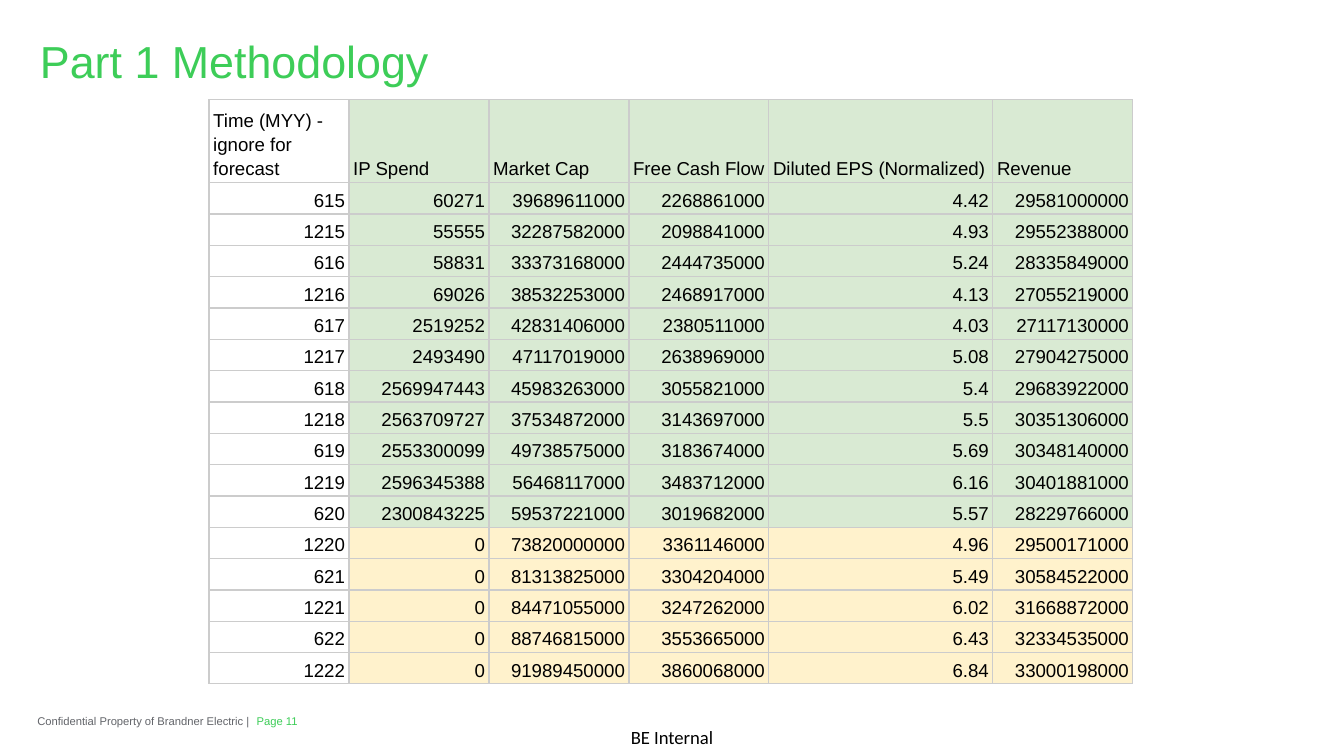
from lxml.etree import SubElement
from pptx import Presentation
from pptx.dml.color import RGBColor
from pptx.enum.text import MSO_ANCHOR, PP_ALIGN
from pptx.oxml.ns import qn
from pptx.util import Pt

GREEN = "3DCD58"
BLACK = "000000"
HISTORY_FILL = "D9EAD3"
FORECAST_FILL = "FFF2CC"
BORDER = "CCCCCC"

HEADERS = ["Time (MYY) - ignore for forecast", "IP Spend", "Market Cap",
           "Free Cash Flow", "Diluted EPS (Normalized)", "Revenue"]
HISTORY = [
    ("615", "60271", "39689611000", "2268861000", "4.42", "29581000000"),
    ("1215", "55555", "32287582000", "2098841000", "4.93", "29552388000"),
    ("616", "58831", "33373168000", "2444735000", "5.24", "28335849000"),
    ("1216", "69026", "38532253000", "2468917000", "4.13", "27055219000"),
    ("617", "2519252", "42831406000", "2380511000", "4.03", "27117130000"),
    ("1217", "2493490", "47117019000", "2638969000", "5.08", "27904275000"),
    ("618", "2569947443", "45983263000", "3055821000", "5.4", "29683922000"),
    ("1218", "2563709727", "37534872000", "3143697000", "5.5", "30351306000"),
    ("619", "2553300099", "49738575000", "3183674000", "5.69", "30348140000"),
    ("1219", "2596345388", "56468117000", "3483712000", "6.16", "30401881000"),
    ("620", "2300843225", "59537221000", "3019682000", "5.57", "28229766000"),
]
FORECAST = [
    ("1220", "0", "73820000000", "3361146000", "4.96", "29500171000"),
    ("621", "0", "81313825000", "3304204000", "5.49", "30584522000"),
    ("1221", "0", "84471055000", "3247262000", "6.02", "31668872000"),
    ("622", "0", "88746815000", "3553665000", "6.43", "32334535000"),
    ("1222", "0", "91989450000", "3860068000", "6.84", "33000198000"),
]
COLUMN_WIDTHS = [75, 75, 75, 75, 120, 75]
HEADER_HEIGHT, ROW_HEIGHT = 37.5, 15.75


def color(hex_string):
    return RGBColor.from_string(hex_string)


def write(frame, text, size=10, font="Arial", fill=BLACK,
          align=PP_ALIGN.LEFT, spacing=1.0):
    paragraph = frame.paragraphs[0]
    paragraph.alignment = align
    paragraph.line_spacing = spacing
    run = paragraph.add_run()
    run.text = text
    run.font.size = Pt(size)
    run.font.name = font
    run.font.color.rgb = color(fill)


presentation = Presentation()
presentation.slide_width, presentation.slide_height = Pt(720), Pt(405)
slide = presentation.slides.add_slide(presentation.slide_layouts[5])

# Title
title = slide.shapes.title
title.left, title.top, title.width, title.height = Pt(20), Pt(18), Pt(681), Pt(29)
frame = title.text_frame
frame.margin_left = Pt(1.4)
frame.margin_top = frame.margin_right = frame.margin_bottom = 0
frame.vertical_anchor = MSO_ANCHOR.TOP
write(frame, "Part 1 Methodology", size=24, fill=GREEN)

# Footer
footers = [
    ("Confidential Property of Brandner Electric |", (20, 382.5, 119, 7),
     dict(size=6, fill="626469")),
    ("Page 11", (137.5, 382.5, 41, 7), dict(size=6, fill=GREEN)),
    ("BE Internal", (327.5, 384.5, 65, 21),
     dict(font="Calibri", align=PP_ALIGN.CENTER)),
]
for text, box, text_format in footers:
    footer = slide.shapes.add_textbox(*map(Pt, box))
    frame = footer.text_frame
    frame.word_wrap = True
    frame.margin_left = frame.margin_top = frame.margin_right = frame.margin_bottom = 0
    frame.vertical_anchor = MSO_ANCHOR.MIDDLE
    write(frame, text, **text_format)

# Table: the time column is unfilled, forecast rows have their own colour
rows = [HEADERS, *HISTORY, *FORECAST]
table_shape = slide.shapes.add_table(
    len(rows), len(HEADERS), Pt(112), Pt(53.5), Pt(sum(COLUMN_WIDTHS)), Pt(236))
table = table_shape.table
table.first_row = table.horz_banding = False
for column, width in zip(table.columns, COLUMN_WIDTHS):
    column.width = Pt(width)

for row_index, values in enumerate(rows):
    table.rows[row_index].height = Pt(ROW_HEIGHT if row_index else HEADER_HEIGHT)
    row_fill = HISTORY_FILL if row_index <= len(HISTORY) else FORECAST_FILL
    for column_index, value in enumerate(values):
        cell = table.cell(row_index, column_index)
        cell.margin_left = cell.margin_right = Pt(2.25)
        cell.margin_top = cell.margin_bottom = Pt(1.5)
        cell.vertical_anchor = MSO_ANCHOR.BOTTOM
        write(cell.text_frame, value, spacing=1.15,
              align=PP_ALIGN.RIGHT if row_index else PP_ALIGN.LEFT)

        # Borders come before the fill in the cell properties
        properties = cell._tc.get_or_add_tcPr()
        for side in ("a:lnL", "a:lnR", "a:lnT", "a:lnB"):
            line = SubElement(properties, qn(side), w=str(Pt(0.75)))
            solid = SubElement(line, qn("a:solidFill"))
            SubElement(solid, qn("a:srgbClr"), val=BORDER)
        if column_index:
            cell.fill.solid()
            cell.fill.fore_color.rgb = color(row_fill)
        else:
            cell.fill.background()

# A frame shorter than its rows lets each row fit its own text
table_shape.height = Pt(236)

presentation.save("out.pptx")
